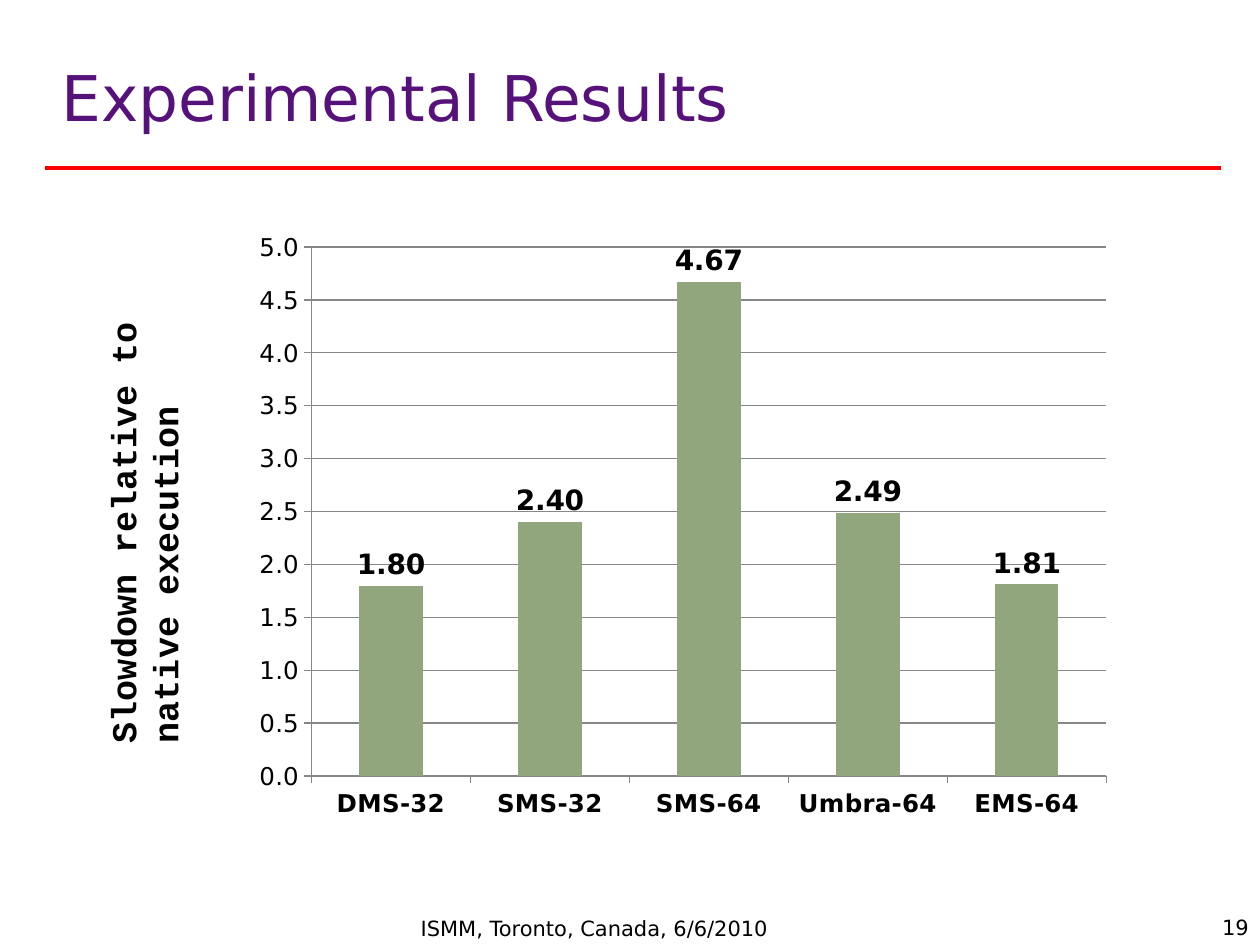
"""Build the experimental results slide with its slowdown chart."""
from lxml.etree import SubElement
from pptx import Presentation
from pptx.chart.data import CategoryChartData as ChartData
from pptx.dml.color import RGBColor as Color
from pptx.enum.chart import XL_CHART_TYPE as ChartType
from pptx.enum.chart import XL_LABEL_POSITION as LabelPosition
from pptx.enum.chart import XL_TICK_MARK as TickMark
from pptx.enum.shapes import MSO_CONNECTOR as Connector
from pptx.enum.text import MSO_ANCHOR as Anchor
from pptx.enum.text import MSO_AUTO_SIZE as AutoSize
from pptx.enum.text import PP_ALIGN as Align
from pptx.oxml.ns import qn
from pptx.util import Pt

COLORS = {"title": "56127A", "rule": "FF0000", "text": "000000",
          "bar": "91A67C", "grid": "878787"}
SANS, MONO = "DejaVu Sans", "Courier New"
TITLE = "Experimental Results"
AXIS_LABEL = "Slowdown relative to native execution"
FOOTER = "ISMM, Toronto, Canada, 6/6/2010"
PAGE_NUMBER = "19"
SLOWDOWNS = {"DMS-32": 1.80, "SMS-32": 2.40, "SMS-64": 4.67,
             "Umbra-64": 2.49, "EMS-64": 1.81}


def color(name):
    return Color.from_string(COLORS[name])


def style_font(font, size, name=SANS, tint="text", bold=False):
    font.size, font.name, font.bold = Pt(size), name, bold
    font.color.rgb = color(tint)


def add_text(page, text, frame, size=12, name=SANS, bold=False, align=Align.LEFT):
    box = page.shapes.add_textbox(*map(Pt, frame))
    box.text_frame.word_wrap = True
    box.text_frame.text = text
    para = box.text_frame.paragraphs[0]
    para.alignment = align
    style_font(para.runs[0].font, size, name, bold=bold)
    return box


def add_title(page):
    title = page.shapes.title
    title.left, title.top, title.width, title.height = map(Pt, (28, 26.6, 668, 65.5))
    title.text_frame.text = TITLE
    title.text_frame.vertical_anchor = Anchor.MIDDLE
    para = title.text_frame.paragraphs[0]
    para.alignment, para.line_spacing = Align.LEFT, 0.8
    style_font(para.runs[0].font, 36, tint="title")


def add_rule(page):
    rule = page.shapes.add_connector(Connector.STRAIGHT, *map(Pt, (26, 96, 698, 96)))
    rule.line.color.rgb = color("rule")
    rule.line.width = Pt(2.25)
    SubElement(rule._element.spPr, qn("a:effectLst"))


def add_slowdown_chart(page):
    data = ChartData(number_format="0.00")
    data.categories = list(SLOWDOWNS)
    data.add_series("Series 1", list(SLOWDOWNS.values()))
    frame = map(Pt, (138.2, 126, 504, 348))
    chart = page.shapes.add_chart(ChartType.COLUMN_CLUSTERED, *frame, data).chart
    chart.has_legend = chart.has_title = False
    style_font(chart.font, 10)

    for axis, bold in ((chart.category_axis, True), (chart.value_axis, False)):
        axis.major_tick_mark, axis.minor_tick_mark = TickMark.OUTSIDE, TickMark.NONE
        axis.format.line.color.rgb = color("grid")
        style_font(axis.tick_labels.font, 14, bold=bold)

    values = chart.value_axis
    values.minimum_scale, values.maximum_scale, values.major_unit = 0, 5, 0.5
    values.has_major_gridlines = True
    values.major_gridlines.format.line.color.rgb = color("grid")
    values.tick_labels.number_format = "0.0"
    values.tick_labels.number_format_is_linked = False

    plot = chart.plots[0]
    plot.gap_width, plot.vary_by_categories = 150, False
    series = plot.series[0]
    series.format.fill.solid()
    series.format.fill.fore_color.rgb = color("bar")
    labels = series.data_labels
    labels.show_value = True
    labels.number_format, labels.number_format_is_linked = "0.00", False
    labels.position = LabelPosition.OUTSIDE_END
    style_font(labels.font, 16, bold=True)


def main():
    deck = Presentation()
    deck.slide_width, deck.slide_height = Pt(720), Pt(540)
    page = deck.slides.add_slide(deck.slide_layouts[5])
    add_rule(page)
    add_title(page)
    label = add_text(page, AXIS_LABEL, (-87.1, 261.4, 311.8, 28.8), 20, MONO, bold=True)
    label.rotation = 270
    label.text_frame.auto_size = AutoSize.SHAPE_TO_FIT_TEXT
    add_text(page, FOOTER, (233.3, 519.8, 226, 23.8))
    add_slowdown_chart(page)
    add_text(page, PAGE_NUMBER, (612.7, 519, 108, 21), align=Align.RIGHT)
    deck.save("out.pptx")


if __name__ == "__main__":
    main()
